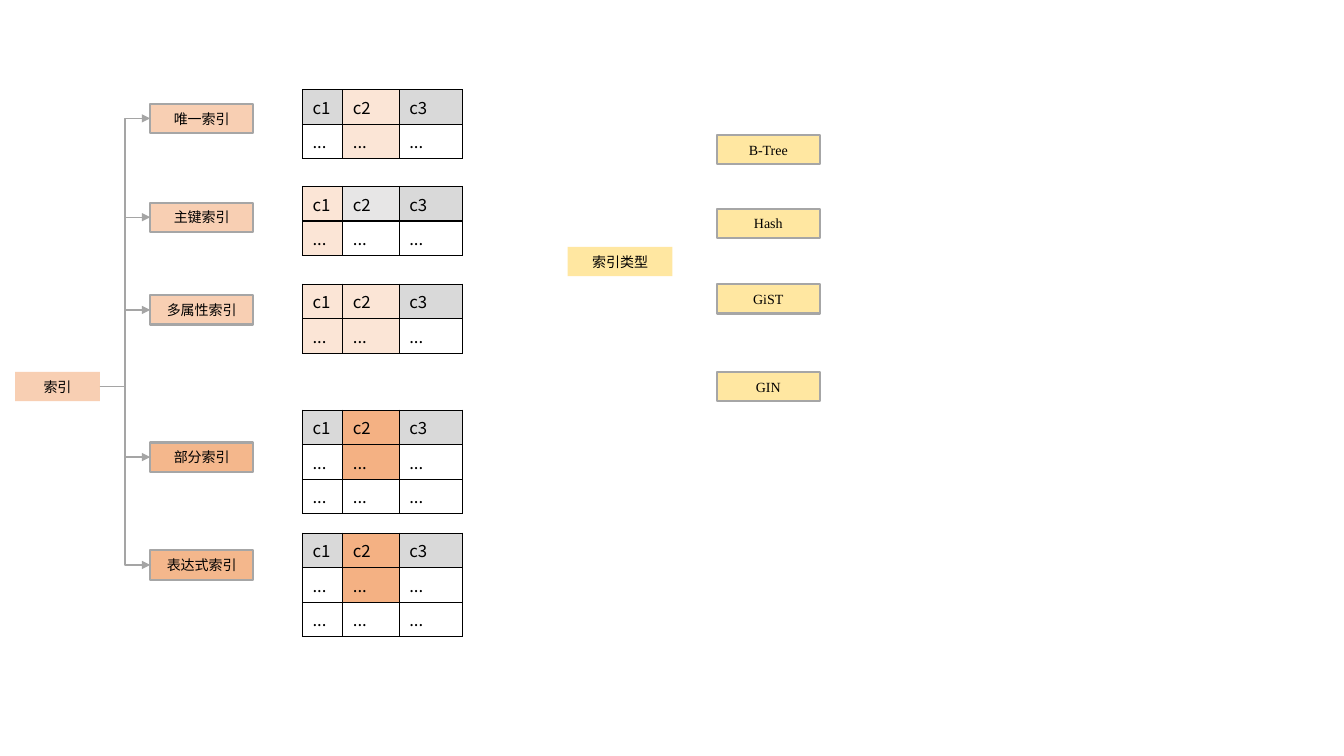
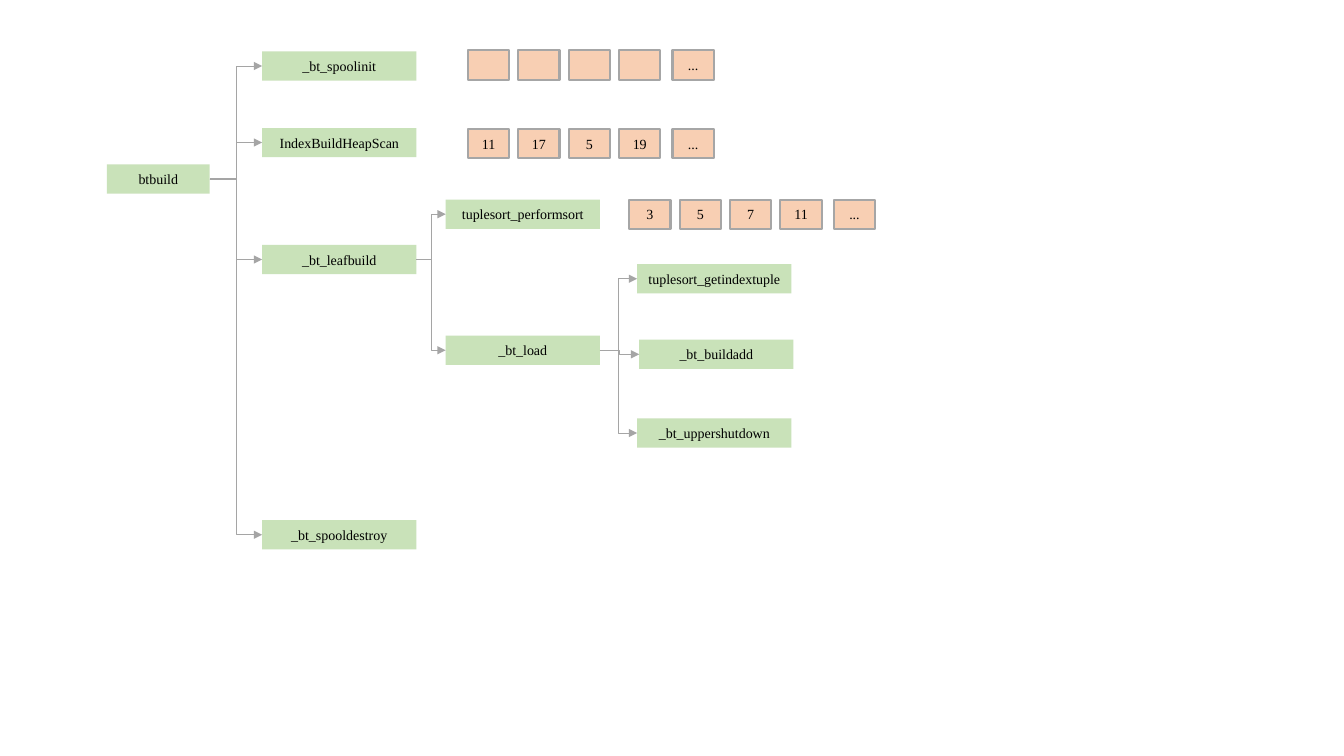
from dataclasses import dataclass

from lxml.etree import SubElement
from pptx import Presentation
from pptx.dml.color import RGBColor
from pptx.enum.shapes import MSO_CONNECTOR, MSO_SHAPE
from pptx.enum.text import MSO_ANCHOR, PP_ALIGN
from pptx.oxml.ns import qn
from pptx.util import Inches, Pt

INDEX_ROOT = ("索引", 3.69)
INDEX_KINDS = [
    ("唯一索引", 1.03, "peach", 0.89, ["GPG", "-P-"]),
    ("主键索引", 2.01, "peach", 1.85, ["PSG", "P--"]),
    ("多属性索引", 2.93, "peach", 2.82, ["PPG", "PP-"]),
    ("部分索引", 4.39, "orange", 4.07, ["GOG", "-O-", "---"]),
    ("表达式索引", 5.46, "orange", 5.29, ["GOG", "-O-", "---"]),
]
FIELDS = ["c1", "c2", "c3"]
METHOD_ROOT = ("索引类型", 2.45)
METHODS = [("B-Tree", 1.34), ("Hash", 2.07), ("GiST", 2.82), ("GIN", 3.69)]

CALLS = [
    ("btbuild", None, "entry", 1.63),
    ("_bt_spoolinit", "btbuild", "step", 0.51),
    ("IndexBuildHeapScan", "btbuild", "step", 1.27),
    ("_bt_leafbuild", "btbuild", "step", 2.43),
    ("_bt_spooldestroy", "btbuild", "step", 5.16),
    ("tuplesort_performsort", "_bt_leafbuild", "phase", 1.98),
    ("_bt_load", "_bt_leafbuild", "phase", 3.33),
    ("tuplesort_getindextuple", "_bt_load", "detail", 2.62),
    ("_bt_buildadd", "_bt_load", "add", 3.37),
    ("_bt_uppershutdown", "_bt_load", "detail", 4.15),
]
TUPLES = [
    (4.64, 0.5, ["", "", "", "", "..."]),
    (4.64, 1.28, ["11", "17", "5", "19", "..."]),
    (6.24, 1.98, ["3", "5", "7", "11", "..."]),
]

COLUMNS = {
    "root": (0.15, 0.84), "kind": (1.49, 1.02),
    "type": (5.63, 1.04), "method": (7.11, 1.02),
    "entry": (1.06, 1.02), "step": (2.6, 1.53), "phase": (4.42, 1.53),
    "detail": (6.32, 1.53), "add": (6.34, 1.53),
}
BOX_HEIGHT = 0.29
TUPLE_WIDTH, TUPLE_PITCH, ELLIPSIS_GAP = 0.41, 0.5, 0.03
FIELD_LEFT, FIELD_WIDTHS, FIELD_HEIGHT = 3, [0.4, 0.56, 0.63], 0.3


@dataclass(frozen=True)
class Theme:
    text = "000000"
    outline = "A6A6A6"
    arrow = "A5A5A5"
    peach = "F8CBAD"
    orange = "F4B183"
    yellow = "FFE699"
    green = "C5E0B4"
    opacity = "92000"
    outline_width = 1.5
    label_font = "Times New Roman"
    field_font = "Noto Sans CJK SC"
    label_size = 10
    field_size = 12


THEME = Theme()
FIELD_FILLS = {"G": "D9D9D9", "P": "FBE5D6", "S": "E7E6E6", "O": THEME.orange}


def rgb(color):
    return RGBColor.from_string(color)


def write(frame, words, font, size, align):
    paragraph = frame.paragraphs[0]
    paragraph.alignment = align
    if not words:
        return
    run = paragraph.add_run()
    run.text = words
    for key, value in {"name": font, "size": Pt(size)}.items():
        setattr(run.font, key, value)
    run.font.color.rgb = rgb(THEME.text)
    SubElement(run.font._element, qn("a:ea"), typeface=THEME.field_font)


def add_box(slide, words, left, top, width, color, outlined=False):
    box = slide.shapes.add_shape(
        MSO_SHAPE.RECTANGLE, *map(Inches, (left, top, width, BOX_HEIGHT)))
    box.shadow.inherit = False
    box.fill.solid()
    box.fill.fore_color.rgb = rgb(color)
    tint = box._element.spPr.find(qn("a:solidFill"))[0]
    SubElement(tint, qn("a:alpha"), val=THEME.opacity)
    if outlined:
        box.line.color.rgb = rgb(THEME.outline)
        box.line.width = Pt(THEME.outline_width)
    else:
        box.line.fill.background()
    frame_format = {
        "word_wrap": True, "vertical_anchor": MSO_ANCHOR.MIDDLE,
        "margin_left": Inches(0.05), "margin_right": Inches(0.05),
    }
    for key, value in frame_format.items():
        setattr(box.text_frame, key, value)
    write(box.text_frame, words, THEME.label_font, THEME.label_size, PP_ALIGN.CENTER)
    return box


def add_node(slide, words, column, top, color, outlined=False):
    left, width = COLUMNS[column]
    return add_box(slide, words, left, top, width, color, outlined)


def add_arrow(slide, parent, child, weight):
    arrow = slide.shapes.add_connector(MSO_CONNECTOR.ELBOW, 0, 0, 0, 0)
    arrow.begin_connect(parent, 3)
    arrow.end_connect(child, 1)
    arrow.line.color.rgb = rgb(THEME.arrow)
    arrow.line.width = Pt(weight)
    SubElement(arrow.line._get_or_add_ln(), qn("a:tailEnd"), type="triangle")
    SubElement(arrow._element.spPr, qn("a:effectLst"))


def add_borders(cell):
    properties = cell._tc.get_or_add_tcPr()
    for side in ("lnL", "lnR", "lnT", "lnB"):
        border = SubElement(properties, qn(f"a:{side}"), w=str(Pt(1)))
        paint = SubElement(border, qn("a:solidFill"))
        SubElement(paint, qn("a:srgbClr"), val=THEME.text)


def add_fields(slide, top, pattern):
    size = (sum(FIELD_WIDTHS), FIELD_HEIGHT * len(pattern))
    fields = slide.shapes.add_table(
        len(pattern), len(FIELDS), *map(Inches, (FIELD_LEFT, top, *size))).table
    for key in ("first_row", "horz_banding"):
        setattr(fields, key, False)
    for column, width in zip(fields.columns, FIELD_WIDTHS):
        column.width = Inches(width)
    for r, codes in enumerate(pattern):
        for c, code in enumerate(codes):
            cell = fields.cell(r, c)
            add_borders(cell)
            if code in FIELD_FILLS:
                cell.fill.solid()
                cell.fill.fore_color.rgb = rgb(FIELD_FILLS[code])
            else:
                cell.fill.background()
            write(cell.text_frame, "..." if r else FIELDS[c],
                  THEME.field_font, THEME.field_size, PP_ALIGN.LEFT)


def build_index_overview(slide):
    words, top = INDEX_ROOT
    root = add_node(slide, words, "root", top, THEME.peach)
    for words, top, tint, fields_top, pattern in INDEX_KINDS:
        kind = add_node(slide, words, "kind", top, getattr(THEME, tint), True)
        add_fields(slide, fields_top, pattern)
        add_arrow(slide, root, kind, 1)
    words, top = METHOD_ROOT
    add_node(slide, words, "type", top, THEME.yellow)
    for words, top in METHODS:
        add_node(slide, words, "method", top, THEME.yellow, True)


def build_call_tree(slide):
    nodes = {}
    for name, caller, column, top in CALLS:
        nodes[name] = add_node(slide, name, column, top, THEME.green)
        if caller:
            add_arrow(slide, nodes[caller], nodes[name], 0.5)
    for left, top, entries in TUPLES:
        for i, entry in enumerate(entries):
            gap = ELLIPSIS_GAP if entry == "..." else 0
            add_box(slide, entry, left + i * TUPLE_PITCH + gap, top,
                    TUPLE_WIDTH, THEME.peach, True)


deck = Presentation()
deck.slide_width, deck.slide_height = Inches(13.33), Inches(7.5)
for build in (build_index_overview, build_call_tree):
    build(deck.slides.add_slide(deck.slide_layouts[6]))
deck.save("out.pptx")
